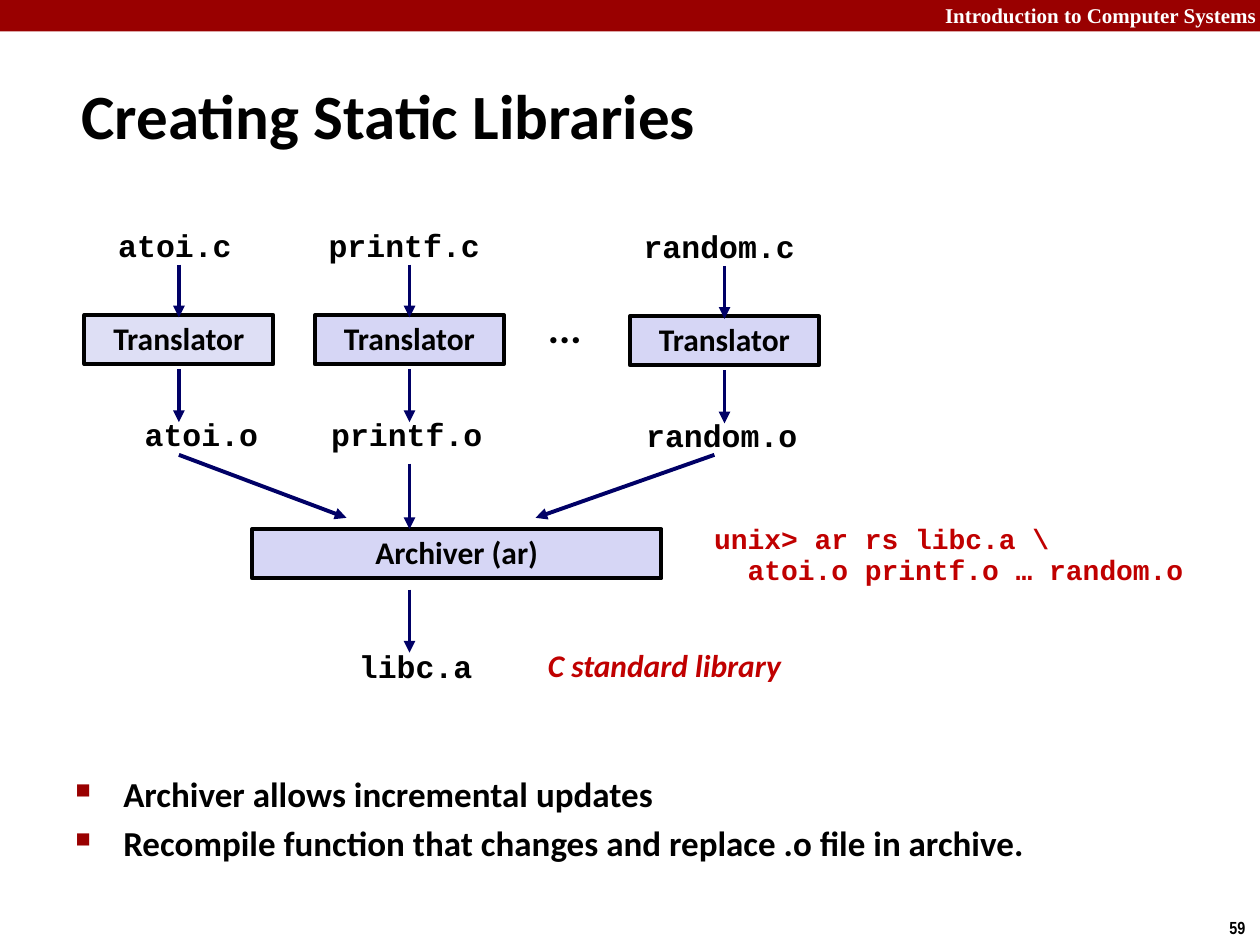
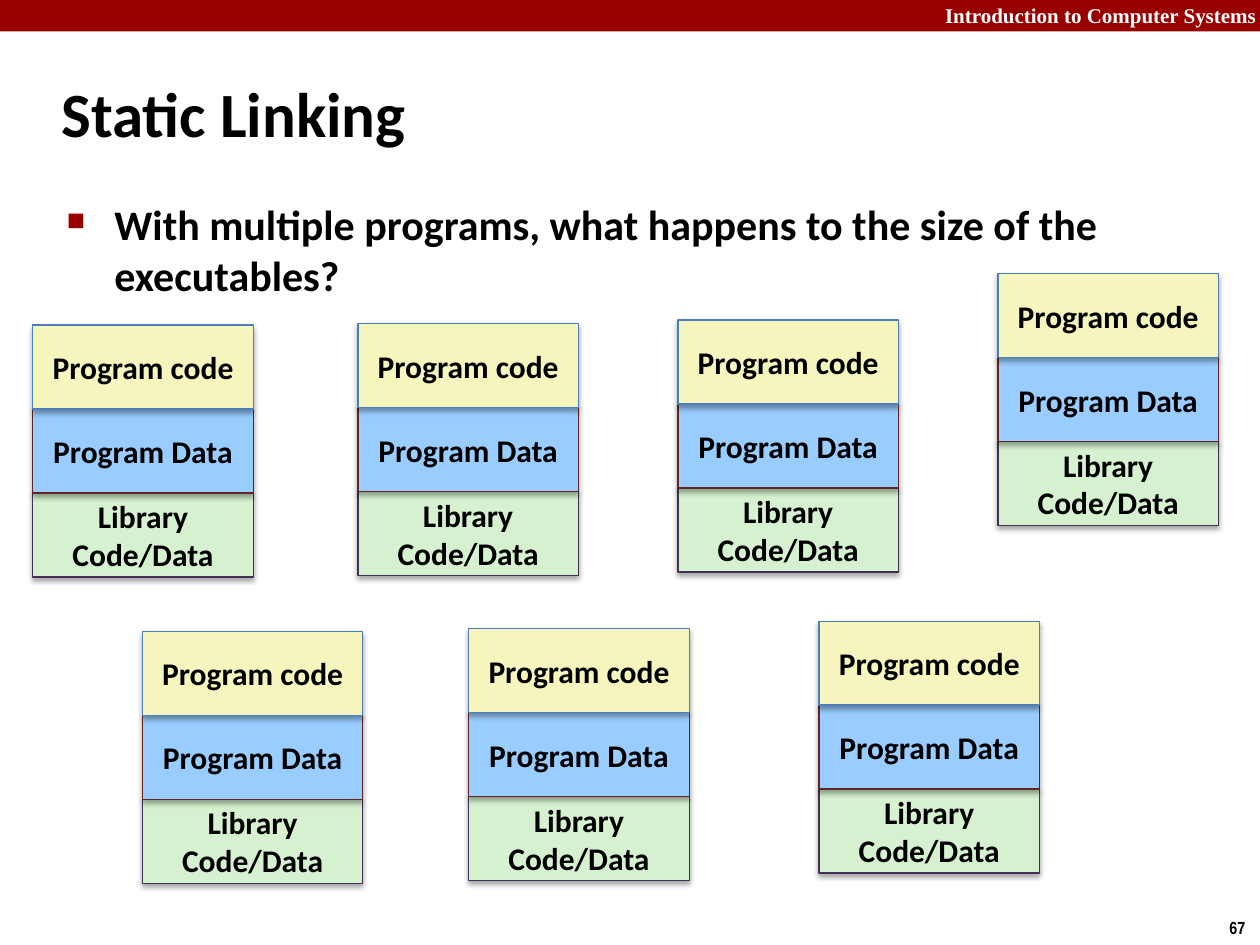
from lxml import etree
from pptx import Presentation
from pptx.dml.color import RGBColor
from pptx.enum.shapes import MSO_CONNECTOR, MSO_SHAPE
from pptx.enum.text import MSO_ANCHOR, MSO_AUTO_SIZE, PP_ALIGN
from pptx.oxml.ns import qn
from pptx.util import Inches, Pt

RECTANGLE = MSO_SHAPE.RECTANGLE
STRAIGHT = MSO_CONNECTOR.STRAIGHT
LEFT, CENTER, RIGHT = PP_ALIGN.LEFT, PP_ALIGN.CENTER, PP_ALIGN.RIGHT
TOP, MIDDLE = MSO_ANCHOR.TOP, MSO_ANCHOR.MIDDLE
GROW = MSO_AUTO_SIZE.SHAPE_TO_FIT_TEXT

COLUMNS, ROWS = 10, 7.5
BLACK, WHITE = "000000", "FFFFFF"
DARK_RED, RED, NAVY = "990000", "C00000", "000066"
LAVENDER, PALE_LAVENDER = "D6D6F5", "DEDFF5"
BODY, CODE, COURSE, NUMBER = "Calibri", "Courier New", "Times New Roman", "Arial Narrow"
CODE_SPACING, LABEL_SPACING = 0.94, 0.98


def rgb(value):
    return RGBColor.from_string(value)


def add_element(parent, tag, **attributes):
    return etree.SubElement(parent, qn(tag), attributes)


class Deck:
    def __init__(self):
        self.presentation = Presentation()
        self.presentation.slide_width = Inches(10)
        self.presentation.slide_height = Inches(7.5)
        self.slide = None

    def x(self, columns):
        return round(self.presentation.slide_width * columns / COLUMNS)

    def y(self, rows):
        return round(self.presentation.slide_height * rows / ROWS)

    def area(self, left, top, width, height):
        return self.x(left), self.y(top), self.x(width), self.y(height)

    def fill_frame(self, frame, lines, size=18, font=BODY, color=BLACK, align=LEFT,
                   spacing=None, italic=None, bullets=False):
        for index, line in enumerate(lines):
            paragraph = frame.paragraphs[0] if index == 0 else frame.add_paragraph()
            paragraph.text = line
            if bullets:
                self.bullet(paragraph)
                if index:
                    paragraph.space_before = Pt(size * 0.2)
            paragraph.alignment = align
            if spacing:
                paragraph.line_spacing = spacing
            paragraph.font.size = Pt(size)
            paragraph.font.name = font
            paragraph.font.bold = True
            paragraph.font.italic = italic
            paragraph.font.color.rgb = rgb(color)

    def bullet(self, paragraph):
        properties = paragraph._p.get_or_add_pPr()
        properties.set("marL", str(Inches(0.38)))
        properties.set("indent", str(-Inches(0.38)))
        add_element(add_element(properties, "a:buClr"), "a:srgbClr", val=DARK_RED)
        add_element(properties, "a:buSzPct", val="60000")
        add_element(properties, "a:buChar", char="■")

    def text(self, area, lines, wrap=True, anchor=TOP, **style):
        frame = self.slide.shapes.add_textbox(*self.area(*area)).text_frame
        frame.word_wrap = wrap
        frame.vertical_anchor = anchor
        if not wrap:
            frame.auto_size = GROW
        self.fill_frame(frame, lines, **style)

    def code(self, left, top, width, height, lines, **style):
        self.text((left, top, width, height), lines, wrap=False, font=CODE,
                  spacing=CODE_SPACING, **style)

    def box(self, area, fill, label=None, line=None, line_width=2.25,
            shadow=False, spacing=None):
        shape = self.slide.shapes.add_shape(RECTANGLE, *self.area(*area))
        shape.shadow.inherit = False
        shape.fill.solid()
        shape.fill.fore_color.rgb = rgb(fill)
        if line:
            shape.line.color.rgb = rgb(line)
            shape.line.width = Pt(line_width)
        else:
            shape.line.fill.background()
        if shadow:
            self.drop_shadow(shape)
        if label:
            shape.text_frame.vertical_anchor = MIDDLE
            self.fill_frame(shape.text_frame, [label], align=CENTER, spacing=spacing)

    def drop_shadow(self, shape):
        effects = shape._element.spPr.find(qn("a:effectLst"))
        outer = add_element(effects, "a:outerShdw", blurRad=str(Pt(3.1)),
                            dist=str(Pt(1.8)), dir="5400000", rotWithShape="0")
        color = add_element(outer, "a:srgbClr", val=BLACK)
        add_element(color, "a:alpha", val="35000")

    def arrow(self, start_x, start_y, end_x, end_y):
        connector = self.slide.shapes.add_connector(
            STRAIGHT, self.x(start_x), self.y(start_y), self.x(end_x), self.y(end_y))
        connector.line.color.rgb = rgb(NAVY)
        connector.line.width = Pt(2.25)
        properties = connector._element.spPr
        add_element(properties.find(qn("a:ln")), "a:tailEnd", type="triangle")
        add_element(properties, "a:effectLst")

    def start_slide(self, title, title_area, number):
        self.slide = self.presentation.slides.add_slide(self.presentation.slide_layouts[6])
        self.box((0, 0, COLUMNS, 0.25), DARK_RED)
        self.text((6, -0.03, 4.07, 0.3), ["Introduction to Computer Systems"],
                  size=12, font=COURSE, color=WHITE, align=RIGHT)
        self.text((9.66, 7.23, 0.34, 0.27), [number], wrap=False, size=10, font=NUMBER)
        self.text(title_area, [title], anchor=MIDDLE, size=36)

    def process(self, left, top, width, label, fill=LAVENDER):
        self.box((left, top, width, 0.39), fill, label, line=BLACK, spacing=LABEL_SPACING)

    def translation(self, name, left, drop, source_shift, object_shift, fill):
        middle = left + 0.75
        width = 0.2 + 0.15 * len(name + ".c")
        self.code(left + source_shift, 1.77 + drop, width, 0.39, [name + ".c"])
        self.process(left, 2.5 + drop, 1.5, "Translator", fill)
        self.code(left + object_shift, 3.27 + drop, width, 0.39, [name + ".o"])
        for top in (2.1, 2.93):
            self.arrow(middle, top + drop, middle, top + drop + 0.42)

    def program(self, left, top):
        height = 2 / 3
        layers = [("Program code", "F6F5BD", "4B7EBC"),
                  ("Program Data", "99CCFF", "632523"),
                  ("Library Code/Data", "D5F1CF", "403152")]
        for level, (label, fill, line) in reversed(list(enumerate(layers))):
            self.box((left, top + level * height, 1.75, height), fill, label,
                     line=line, line_width=0.75, shadow=True)


def build_static_libraries(deck):
    deck.start_slide("Creating Static Libraries", (0.55, 0.48, 9.53, 0.86), "59")
    translations = [("atoi", 0.67, 0, 0.17, 0.38, PALE_LAVENDER),
                    ("printf", 2.5, 0, 0.01, 0.03, LAVENDER),
                    ("random", 5, 0.01, 0.01, 0.03, LAVENDER)]
    for translation in translations:
        deck.translation(*translation)
    deck.text((4.25, 2.36, 0.48, 0.5), ["..."], wrap=False, size=24, spacing=LABEL_SPACING)

    deck.process(2, 4.2, 3.25, "Archiver (ar)")
    for arrow in [(1.42, 3.61, 2.75, 4.11), (3.25, 3.68, 3.25, 4.2),
                  (5.67, 3.61, 4.25, 4.11), (3.25, 4.68, 3.25, 5.18)]:
        deck.arrow(*arrow)
    deck.code(5.57, 4.11, 3.98, 0.61,
              ["unix> ar rs libc.a \\", "  atoi.o printf.o … random.o"], size=16, color=RED)
    deck.code(2.75, 5.11, 1.1, 0.39, ["libc.a"])
    deck.text((4.25, 5.09, 3.25, 0.4), ["C standard library"], color=RED,
              italic=True, spacing=LABEL_SPACING)
    deck.text((0.5, 6.08, 9.09, 1.17),
              ["Archiver allows incremental updates",
               "Recompile function that changes and replace .o file in archive."],
              size=20, bullets=True)


def build_static_linking(deck):
    deck.start_slide("Static Linking", (0.39, 0.48, 8.3, 0.83), "67")
    deck.text((0.43, 1.53, 8.64, 5.4),
              ["With multiple programs, what happens to the size of the executables?"],
              size=24, bullets=True)
    for left, top in [(7.92, 2.17), (5.38, 2.54), (0.26, 2.58), (1.13, 5.01),
                      (2.84, 2.57), (3.72, 4.99), (6.5, 4.93)]:
        deck.program(left, top)


def main():
    deck = Deck()
    build_static_libraries(deck)
    build_static_linking(deck)
    deck.presentation.save("out.pptx")


if __name__ == "__main__":
    main()
